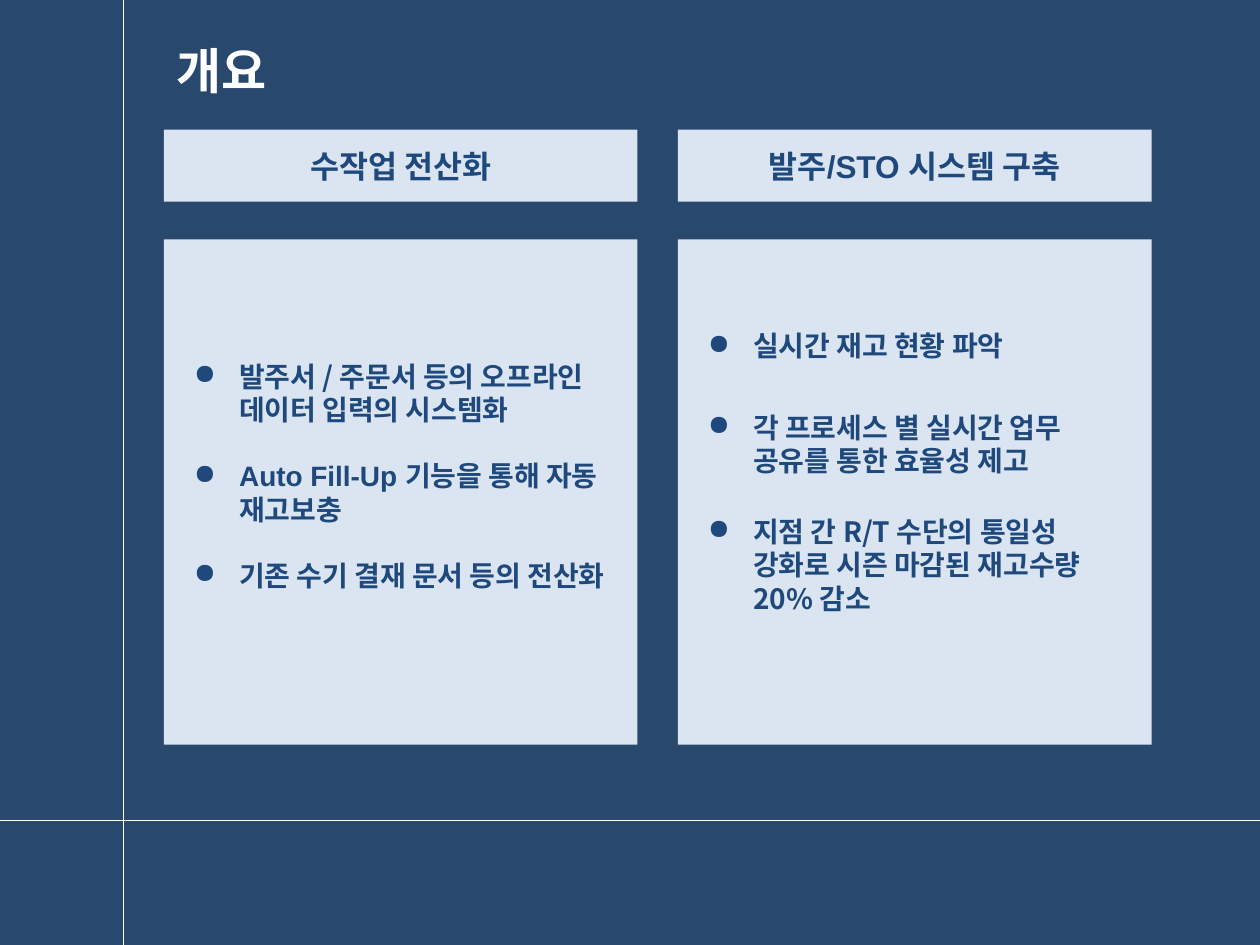
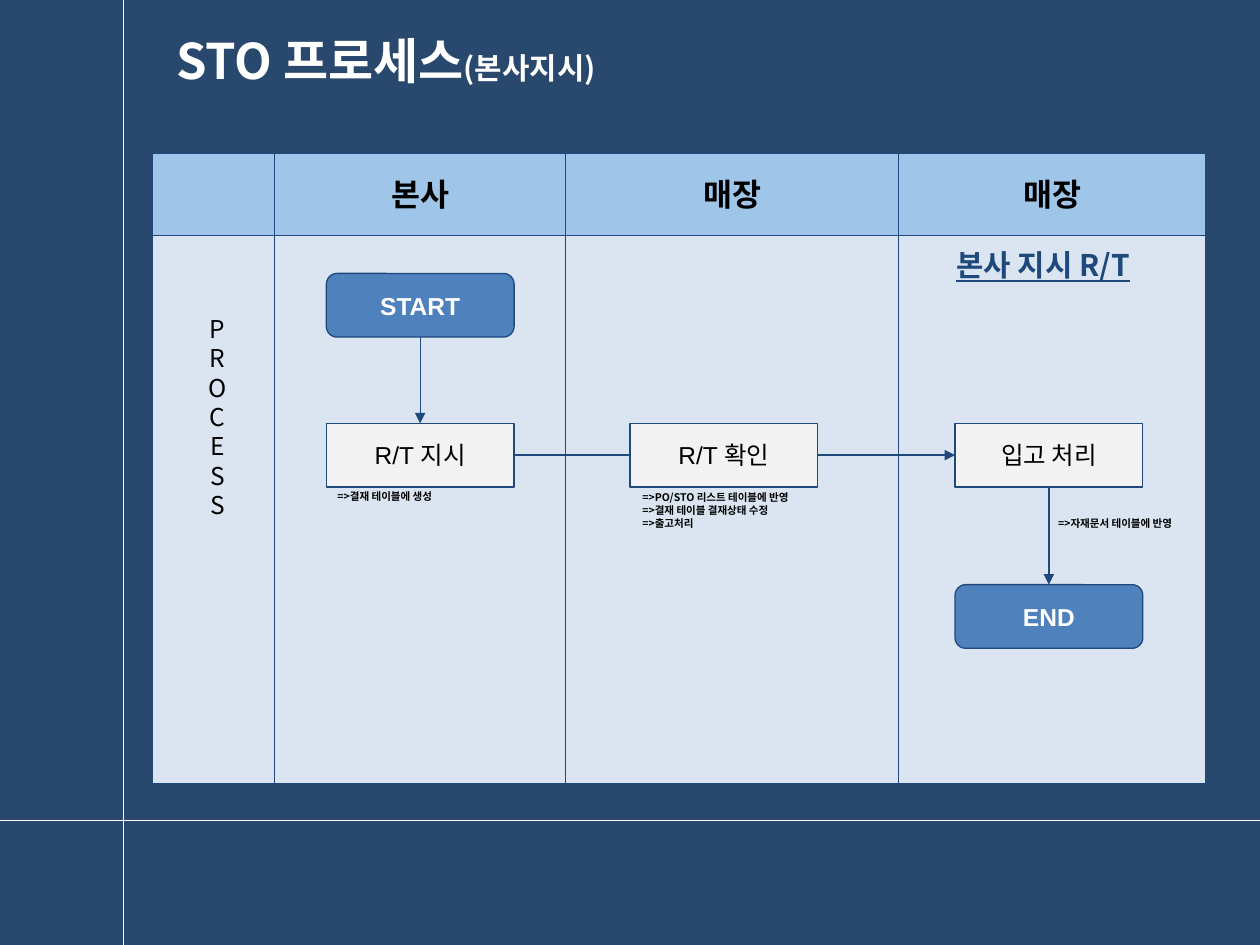
from dataclasses import dataclass

import pptx
import pptx.dml.color
import pptx.enum.shapes
import pptx.enum.text
import pptx.oxml
import pptx.oxml.ns
import pptx.util
from lxml import etree

Pt = pptx.util.Pt
Shape = pptx.enum.shapes.MSO_SHAPE
Align = pptx.enum.text.PP_ALIGN
Anchor = pptx.enum.text.MSO_ANCHOR
TOP, LEFT, BOTTOM, RIGHT = range(4)  # connection sites


@dataclass(frozen=True)
class Theme:
    ground: str = "29486D"
    panel: str = "DAE5F1"
    band: str = "9FC5E8"
    ink: str = "1F497D"
    terminal: str = "4F81BD"
    step: str = "F3F3F3"
    white: str = "FFFFFF"
    black: str = "000000"
    hangul: str = "Noto Sans CJK KR"
    latin: str = "Arial"
    title: int = 28
    heading: int = 18
    subtitle: int = 17
    body: int = 16
    label: int = 14
    note: int = 6
    rule: float = 0.75


THEME = Theme()
COLUMNS, ROWS = 100, 75
CELL = pptx.util.Inches(0.1)


@dataclass(frozen=True)
class Box:
    """Area in grid columns and rows."""
    x: float
    y: float
    w: float
    h: float

    def inner(self, dx, dy, w, h):
        return Box(self.x + dx, self.y + dy, w, h)

    def emu(self):
        return [cells(v) for v in (self.x, self.y, self.w, self.h)]


SLIDE = Box(0, 0, COLUMNS, ROWS)


def cells(count):
    return round(count * CELL)


def rgb(code):
    return pptx.dml.color.RGBColor.from_string(code)


def add_bullet(paragraph, color):
    props = paragraph._p.get_or_add_pPr()
    props.set("marL", str(cells(5)))
    props.set("indent", str(cells(-3.6)))
    bullet_color = etree.SubElement(props, pptx.oxml.ns.qn("a:buClr"))
    etree.SubElement(bullet_color, pptx.oxml.ns.qn("a:srgbClr"), val=color)
    etree.SubElement(props, pptx.oxml.ns.qn("a:buChar"), char="●")


def write(shape, *paragraphs, size=THEME.label, font=THEME.hangul,
          color=THEME.black, bold=False, underline=None, align=Align.LEFT,
          anchor=Anchor.TOP, inset=1, foot=None, gaps=None, bullets=False):
    """Fill a shape; a paragraph is a string or a list of (text, changes)."""
    frame = shape.text_frame
    frame.word_wrap = True
    frame.vertical_anchor = anchor
    frame.margin_left = frame.margin_right = cells(1)
    frame.margin_top = cells(inset)
    frame.margin_bottom = cells(inset if foot is None else foot)
    base = dict(size=size, font=font, color=color)
    for index, runs in enumerate(paragraphs):
        paragraph = frame.add_paragraph() if index else frame.paragraphs[0]
        paragraph.alignment = align
        if gaps:
            paragraph.space_before = Pt(gaps[index])
        if bullets:
            add_bullet(paragraph, color)
        for text, changes in [(runs, {})] if isinstance(runs, str) else runs:
            look = {**base, **changes}
            run = paragraph.add_run()
            run.text = text
            run.font.size = Pt(look["size"])
            run.font.name = look["font"]
            run.font.color.rgb = rgb(look["color"])
            run.font.bold = bold
            run.font.underline = underline


def add_text(slide, box, *paragraphs, **look):
    write(slide.shapes.add_textbox(*box.emu()), *paragraphs, **look)


def add_block(slide, box, fill, line=None, kind=Shape.RECTANGLE):
    block = slide.shapes.add_shape(kind, *box.emu())
    block.shadow.inherit = False
    block.fill.solid()
    block.fill.fore_color.rgb = rgb(fill)
    if line:
        block.line.color.rgb = rgb(line)
        block.line.width = Pt(THEME.rule)
    else:
        block.line.fill.background()
    return block


def add_line(slide, x1, y1, x2, y2, color=THEME.ink):
    line = slide.shapes.add_connector(
        pptx.enum.shapes.MSO_CONNECTOR.STRAIGHT,
        *(cells(v) for v in (x1, y1, x2, y2)))
    line.line.color.rgb = rgb(color)
    line.line.width = Pt(THEME.rule)
    etree.SubElement(line._element.spPr, pptx.oxml.ns.qn("a:effectLst"))
    return line


def join(slide, start, start_side, end, end_side, arrow=True):
    link = add_line(slide, 0, 0, 1, 1)
    link.begin_connect(start, start_side)
    link.end_connect(end, end_side)
    if arrow:
        etree.SubElement(link.line._get_or_add_ln(),
                         pptx.oxml.ns.qn("a:tailEnd"), type="triangle")


def add_page(deck, title_top, title):
    """Blank slide with the crossing rules and the title."""
    slide = deck.slides.add_slide(deck.slide_layouts[6])
    add_line(slide, 0, 65.1, SLIDE.w, 65.1, THEME.white)
    add_line(slide, 9.8, 0, 9.8, SLIDE.h, THEME.white)
    add_text(slide, SLIDE.inner(13, title_top, 67.1, 10.4), title,
             size=THEME.title, color=THEME.white, bold=True, inset=0.5)
    return slide


def topic_column(slide, box, heading, points, gaps, foot):
    """Heading bar above a panel of bullet points."""
    look = dict(color=THEME.ink, bold=True, anchor=Anchor.MIDDLE, inset=0.5)
    bar = add_block(slide, box.inner(0, 0, box.w, 5.7), THEME.panel)
    write(bar, heading, size=THEME.heading, font=THEME.latin,
          align=Align.CENTER, **look)
    panel = add_block(slide, box.inner(0, 8.7, box.w, box.h - 8.7), THEME.panel)
    write(panel, *points, size=THEME.body, bullets=True, gaps=gaps,
          foot=foot, **look)


def overview_slide(deck):
    slide = add_page(deck, 2.7, "개요")
    latin = {"font": THEME.latin}
    topics = [
        ("수작업 전산화",
         ["발주서 / 주문서 등의 오프라인 데이터 입력의 시스템화",
          [("Auto Fill-Up 기능을 통해 자동 재고보충", latin)],
          [("기존 수기 결재 문서 등의 전산화", latin)]],
         (0, 18.5, 18.5), 3.1),
        ("발주/STO 시스템 구축",
         ["실시간 재고 현황 파악",
          "각 프로세스 별 실시간 업무 공유를 통한 효율성 제고",
          "지점 간 R/T 수단의 통일성 강화로 시즌 마감된 재고수량 20% 감소"],
         (4.5, 27.5, 21), 3.7),
    ]
    for index, topic in enumerate(topics):
        topic_column(slide, SLIDE.inner(13 + 40.8 * index, 10.3, 37.6, 48.8),
                     *topic)


def lanes(slide, box, headings, edges):
    """Swimlane ground: body, heading band, dividers and lane headings."""
    add_block(slide, box, THEME.panel, THEME.ink)
    add_block(slide, box.inner(0, 0, box.w, 6.5), THEME.band, THEME.ink)
    for heading, start, end in zip(headings, edges, edges[1:] + [box.w]):
        x = box.x + start
        add_line(slide, x, box.y, x, box.y + box.h)
        add_text(slide, box.inner(start, 0.7, end - start, 5), heading,
                 size=THEME.heading, bold=True, align=Align.CENTER)
    add_text(slide, box.inner(2.1, 11.7, 6.1, 18.5), *"PROCESS",
             align=Align.CENTER)


def flow(slide, box):
    """Steps of the process, their links and their notes."""
    def node(label, column, row, terminal=False):
        block = add_block(slide, box.inner(column, row, 14.9, 5.05),
                          THEME.terminal if terminal else THEME.step, THEME.ink,
                          Shape.ROUNDED_RECTANGLE if terminal else Shape.RECTANGLE)
        write(block, label, font=THEME.latin, bold=terminal,
              color=THEME.white if terminal else THEME.black,
              align=Align.CENTER, anchor=Anchor.MIDDLE)
        return block

    head_office, shop, receiver = 13.8, 37.9, 63.7
    start = node("START", head_office, 9.5, terminal=True)
    order = node("R/T 지시", head_office, 21.4)
    check = node("R/T 확인", shop, 21.4)
    receipt = node("입고 처리", receiver, 21.4)
    end = node("END", receiver, 34.2, terminal=True)
    join(slide, start, BOTTOM, order, TOP)
    join(slide, order, RIGHT, check, LEFT, arrow=False)
    join(slide, check, RIGHT, receipt, LEFT)
    join(slide, receipt, BOTTOM, end, TOP)

    notes = [
        (head_office - 0.1, 26.2, ["=>결재 테이블에 생성"]),
        (shop, 25.8, ["=>PO/STO 리스트 테이블에 반영",
                      "=>결재 테이블 결재상태 수정", "=>출고처리"]),
        (receiver + 7.2, 28.3, ["=>자재문서 테이블에 반영"]),
    ]
    for column, row, lines in notes:
        add_text(slide, box.inner(column, row, 16.5, 1 + 2 * len(lines)),
                 *lines, size=THEME.note, bold=True)
    add_text(slide, box.inner(62.8, 6.4, 18.2, 4.9), "본사 지시 R/T",
             size=THEME.subtitle, color=THEME.ink, bold=True, underline=True)


def process_slide(deck):
    slide = add_page(deck, 1.9, [("STO 프로세스", {}),
                                 ("(본사지시)", {"size": THEME.subtitle})])
    chart = SLIDE.inner(12.1, 12.2, 83.6, 50)
    lanes(slide, chart, ["본사", "매장", "매장"], [9.7, 32.8, 59.2])
    flow(slide, chart)


def main():
    deck = pptx.Presentation()
    deck.slide_width, deck.slide_height = cells(COLUMNS), cells(ROWS)
    ground = deck.slide_master.background.fill
    ground.solid()
    ground.fore_color.rgb = rgb(THEME.ground)
    overview_slide(deck)
    process_slide(deck)
    deck.save("out.pptx")


if __name__ == "__main__":
    main()
